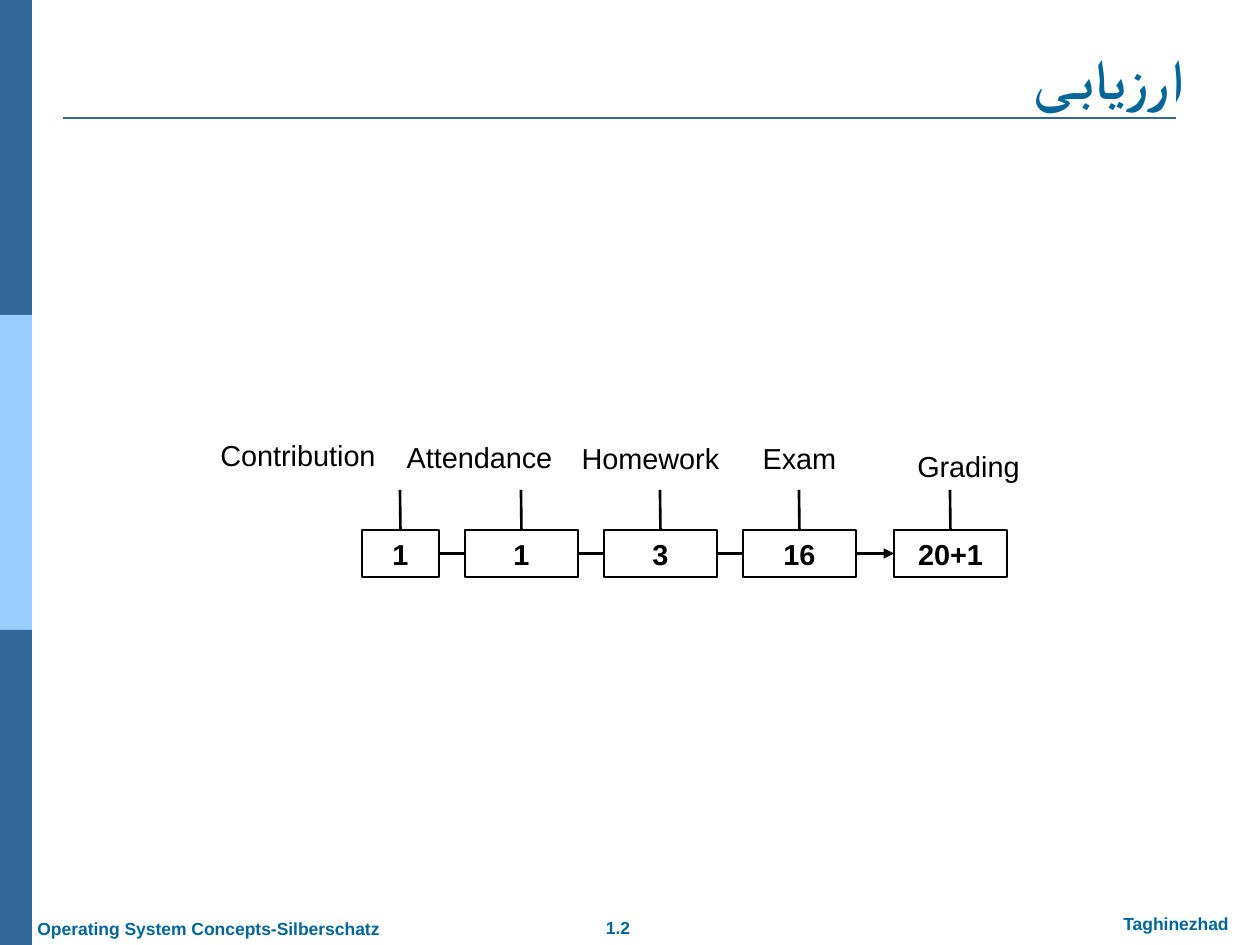
from itertools import pairwise

from lxml.etree import SubElement
from pptx import Presentation
from pptx.dml.color import RGBColor
from pptx.enum.shapes import MSO_CONNECTOR, MSO_SHAPE
from pptx.enum.text import MSO_ANCHOR, MSO_AUTO_SIZE, PP_ALIGN
from pptx.oxml.ns import qn
from pptx.util import Emu, Pt

PX = 914400 // 126
NAVY = RGBColor(0x33, 0x66, 0x99)
SKY = RGBColor(0x99, 0xCC, 0xFF)
TEAL = RGBColor(0x00, 0x66, 0x99)
BLACK = RGBColor(0, 0, 0)
TOP, LEFT, RIGHT = 0, 1, 3  # connection sites of a rectangle


def px(*lengths):
    return [Emu(length * PX) for length in lengths]


def write(shape, text, size=16.5, color=BLACK, bold=False, align=PP_ALIGN.CENTER,
          anchor=MSO_ANCHOR.MIDDLE, wrap=True, margin=None, rtl=False):
    """Fill a shape with one formatted paragraph; margin is in px."""
    frame = shape.text_frame
    frame.auto_size = MSO_AUTO_SIZE.NONE
    frame.word_wrap = wrap
    frame.vertical_anchor = anchor
    if margin is not None:
        frame.margin_left = frame.margin_right = Emu(margin * PX)
        frame.margin_top = frame.margin_bottom = Emu(margin * PX)
    paragraph = frame.paragraphs[0]
    paragraph.alignment = align
    if rtl:
        paragraph._p.get_or_add_pPr().set("rtl", "1")
    run = paragraph.add_run()
    run.text = text
    font = run.font
    font.name, font.size, font.bold = "Arial", Pt(size), bold
    font.color.rgb = color
    if rtl:
        SubElement(font._element, qn("a:cs")).set("typeface", "Arial")


class SlideBuilder:
    def __init__(self, slide, line_width=1.5):
        self.slide = slide
        self.line_width = Pt(line_width)

    def title(self, text, left, top, width, height, **style):
        title = self.slide.shapes.title
        title.left, title.top, title.width, title.height = px(left, top, width, height)
        write(title, text, **style)

    def rectangle(self, left, top, width, height, fill=None, line=None):
        rectangle = self.slide.shapes.add_shape(
            MSO_SHAPE.RECTANGLE, *px(left, top, width, height))
        rectangle.shadow.inherit = False
        if fill is None:
            rectangle.fill.background()
        else:
            rectangle.fill.solid()
            rectangle.fill.fore_color.rgb = fill
        if line is None:
            rectangle.line.fill.background()
        else:
            rectangle.line.color.rgb = line
            rectangle.line.width = self.line_width
        return rectangle

    def text(self, text, left, top, width, height, **style):
        box = self.slide.shapes.add_textbox(*px(left, top, width, height))
        write(box, text, **style)

    def line(self, x1=0, y1=0, x2=0, y2=0, color=BLACK, begin=None, end=None, arrow=False):
        """Draw a line; begin and end are (shape, site) joints that override its points."""
        line = self.slide.shapes.add_connector(MSO_CONNECTOR.STRAIGHT, *px(x1, y1, x2, y2))
        if begin:
            line.begin_connect(*begin)
        if end:
            line.end_connect(*end)
        line.line.color.rgb = color
        line.line.width = self.line_width
        SubElement(line._element.spPr, qn("a:effectLst"))
        if arrow:
            SubElement(line.line._get_or_add_ln(), qn("a:tailEnd")).set("type", "triangle")


def main():
    presentation = Presentation()
    presentation.slide_width, presentation.slide_height = px(1260, 945)
    builder = SlideBuilder(presentation.slides.add_slide(presentation.slide_layouts[5]))

    for band, color in enumerate((NAVY, SKY, NAVY)):
        builder.rectangle(0, band * 315, 32, 315, fill=color)
    builder.line(63, 118, 1176, 118, color=NAVY)
    builder.title("ارزیابی", 63, 38, 1134, 79, size=32, color=TEAL, bold=True,
                  align=PP_ALIGN.RIGHT, anchor=MSO_ANCHOR.BOTTOM, rtl=True)

    footer = dict(size=10, color=TEAL, bold=True, anchor=MSO_ANCHOR.TOP)
    builder.text("Operating System Concepts-Silberschatz", 25, 912, 370, 34,
                 align=PP_ALIGN.LEFT, wrap=False, **footer)
    builder.text("1.2", 587, 911, 62, 34, wrap=False, **footer)
    builder.text("Taghinezhad", 989, 907, 374, 34, **footer)

    # label, label left, label top, label width, points, box left, box width
    parts = [
        ("Contribution", 204, 433, 188, "1", 362, 77),
        ("Attendance", 359, 435, 241, "1", 465, 113),
        ("Homework", 530, 436, 241, "3", 604, 113),
        ("Exam", 679, 436, 241, "16", 743, 113),
        ("Grading", 848, 444, 241, "20+1", 894, 113),
    ]
    boxes = []
    for label, label_left, label_top, label_width, points, left, width in parts:
        box = builder.rectangle(left, 530, width, 47, line=BLACK)
        write(box, points, bold=True, margin=9)
        builder.text(label, label_left, label_top, label_width, 48,
                     anchor=MSO_ANCHOR.BOTTOM, margin=9)
        center = left + width // 2
        builder.line(x2=center, y2=490, begin=(box, TOP))
        boxes.append(box)
    for box, following in pairwise(boxes):
        builder.line(begin=(box, RIGHT), end=(following, LEFT),
                     arrow=following is boxes[-1])

    presentation.save("out.pptx")


if __name__ == "__main__":
    main()
